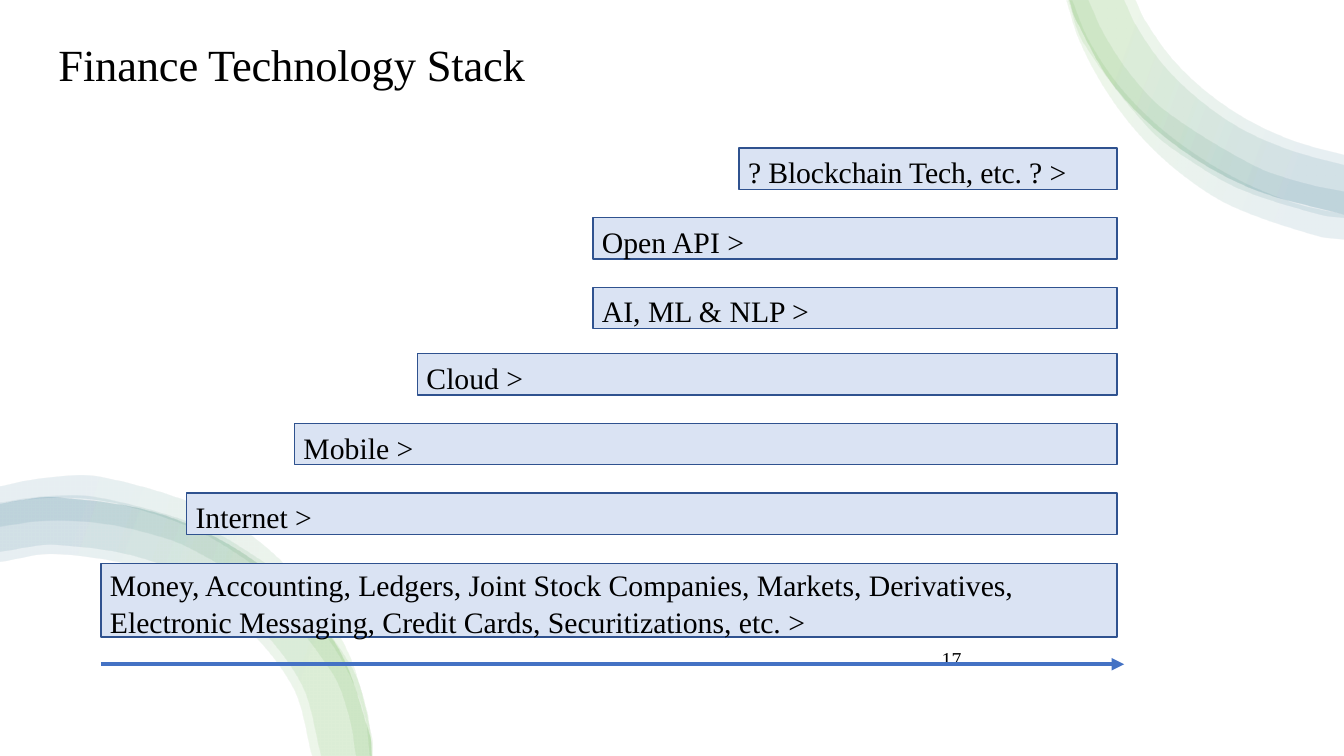
import math

import pptx
import pptx.util
import pptx.oxml
from pptx.dml.color import RGBColor
from pptx.enum.shapes import MSO_CONNECTOR, MSO_SHAPE
from pptx.enum.text import MSO_ANCHOR, PP_ALIGN
from pptx.oxml.ns import nsdecls, qn

WIDTH, HEIGHT = 13.33, 7.5
FONT = "Times New Roman"
BLACK = RGBColor(0x00, 0x00, 0x00)
GREEN = RGBColor(0x4E, 0xA7, 0x2E)
TEAL = RGBColor(0x15, 0x60, 0x82)
BAR_FILL = RGBColor(0xDA, 0xE3, 0xF3)
BAR_LINE = RGBColor(0x2F, 0x52, 0x8F)
ARROW = RGBColor(0x44, 0x72, 0xC4)

TITLE = "Finance Technology Stack"
PAGE = "17"
LAYERS = [
    ("? Blockchain Tech, etc. ? >", 7.33, 1.47, -11),
    ("Open API >", 5.88, 2.16, 0),
    ("AI, ML & NLP >", 5.88, 2.85, 0),
    ("Cloud >", 4.14, 3.51, 0),
    ("Mobile >", 2.92, 4.2, 0),
    ("Internet >", 1.85, 4.89, 0),
    ("Money, Accounting, Ledgers, Joint Stock Companies, Markets, Derivatives, "
     "Electronic Messaging, Credit Cards, Securitizations, etc. >", 1, 5.59, -3),
]
BAR_RIGHT, BAR_HEIGHT, BASE_HEIGHT = 11.08, 0.41, 0.73
ARROW_Y, ARROW_END = 6.59, 11.15

GRADIENT = [(16, GREEN), (85, TEAL)]
OPACITY = 10
TOP_ANGLE, BOTTOM_ANGLE = 20, 200
TOP_EDGE = [(10.61, 0), (10.67, 0.19), (11.07, 0.88), (11.67, 1.45),
            (12.41, 1.87), (13.33, 2.13)]
BOTTOM_EDGE = [(0, 5), (0.56, 4.94), (1.64, 5.12), (2.59, 5.62),
               (3.31, 6.37), (3.66, 7.29), (3.68, 7.5)]
BANDS = [
    (TOP_ANGLE,
     [(10.58, 0.01), (10.71, 0.41), (10.97, 0.9), (11.31, 1.35), (11.73, 1.74),
      (12.22, 2.05), (13.05, 2.34), (13.33, 2.38)],
     [(10.64, 0.01), (10.79, 0.38), (11.08, 0.83), (11.45, 1.22), (11.88, 1.55),
      (12.35, 1.82), (12.85, 2.02), (13.33, 2.13)]),
    (TOP_ANGLE, TOP_EDGE,
     [(11.26, 0), (11.36, 0.21), (11.62, 0.58), (11.96, 0.91), (12.37, 1.19),
      (12.83, 1.4), (13.33, 1.54)]),
    (TOP_ANGLE,
     [(10.6, 0.01), (10.75, 0.43), (11.4, 1.28), (11.83, 1.61), (12.31, 1.88),
      (13.1, 2.13), (13.33, 2.16)],
     [(10.8, 0.01), (10.95, 0.34), (11.22, 0.75), (11.57, 1.11), (12.43, 1.64),
      (12.91, 1.81), (13.33, 1.9)]),
    (TOP_ANGLE, TOP_EDGE,
     [(11.15, 0), (11.27, 0.26), (11.54, 0.65), (11.89, 0.99), (12.31, 1.28),
      (12.79, 1.49), (13.33, 1.64)]),
    (BOTTOM_ANGLE, BOTTOM_EDGE,
     [(0, 5.58), (0.56, 5.5), (1.49, 5.67), (2.32, 6.13), (2.89, 6.8),
      (3.09, 7.5)]),
    (BOTTOM_ANGLE, BOTTOM_EDGE,
     [(0, 5.48), (0.56, 5.41), (1.53, 5.58), (2.38, 6.06), (2.97, 6.76),
      (3.18, 7.5)]),
    (BOTTOM_ANGLE,
     [(0, 4.99), (0.44, 4.93), (0.97, 4.94), (1.98, 5.22), (2.44, 5.47),
      (2.85, 5.78), (3.46, 6.59), (3.63, 7.06), (3.68, 7.5)],
     [(0, 5.23), (0.45, 5.17), (0.94, 5.19), (1.41, 5.28), (1.87, 5.44),
      (2.68, 5.95), (3.28, 6.67), (3.45, 7.1), (3.52, 7.5)]),
    (BOTTOM_ANGLE,
     [(0, 4.83), (0.43, 4.75), (1, 4.74), (2.07, 5.06), (2.53, 5.35),
      (2.93, 5.72), (3.26, 6.14), (3.5, 6.61), (3.69, 7.36), (3.69, 7.5)],
     [(0, 5), (0.45, 4.95), (0.97, 4.97), (1.47, 5.09), (1.95, 5.27),
      (2.39, 5.53), (2.8, 5.84), (3.15, 6.21), (3.43, 6.64), (3.61, 7.11),
      (3.66, 7.5)]),
]


def inch(value):
    return pptx.util.Inches(value)


def step_along(point, start, end, length):
    scale = length / math.dist(start, end)
    return tuple(p + (e - s) * scale for p, s, e in zip(point, start, end))


def curve_points(points):
    padded = [points[0], *points, points[-1]]
    curve = []
    for a, b, c, d in zip(padded, padded[1:], padded[2:], padded[3:]):
        third = math.dist(b, c) / 3
        curve += [step_along(b, a, c, third), step_along(c, d, b, third), c]
    return curve


def add_band(s, angle, outer, inner):
    back = inner[::-1]
    outline = [outer[0], *curve_points(outer), back[0], *curve_points(back)]
    points = [(inch(x), inch(y)) for x, y in outline]
    builder = s.shapes.build_freeform(*points[0], scale=1.0)
    builder.add_line_segments(points[1:], close=True)
    sp = builder.convert_to_shape()
    sp.shadow.inherit = False
    sp.line.fill.background()
    sp.fill.background()
    props = sp.element.spPr
    lines = list(props.iter(qn("a:lnTo")))
    join = 3 * (len(outer) - 1)
    for edge in (lines[:join], lines[join + 1:]):
        for i in range(0, len(edge) // 3 * 3, 3):
            cubic = pptx.oxml.parse_xml(f'<a:cubicBezTo {nsdecls("a")}/>')
            edge[i].addprevious(cubic)
            for line in edge[i:i + 3]:
                cubic.append(line[0])
                line.getparent().remove(line)
    stops = "".join(
        f'<a:gs pos="{pos * 1000}"><a:srgbClr val="{color}">'
        f'<a:alpha val="{OPACITY * 1000}"/></a:srgbClr></a:gs>'
        for pos, color in GRADIENT)
    grad = pptx.oxml.parse_xml(
        f'<a:gradFill {nsdecls("a")} rotWithShape="1"><a:gsLst>{stops}</a:gsLst>'
        f'<a:lin ang="{angle * 60000}" scaled="0"/></a:gradFill>')
    props.replace(props.find(qn("a:noFill")), grad)


def set_text(sp, text, size, left, top, tracking=0):
    tf = sp.text_frame
    tf.text = text
    tf.word_wrap = True
    tf.vertical_anchor = MSO_ANCHOR.TOP
    tf.margin_left, tf.margin_top = inch(left), inch(top)
    tf.margin_right = tf.margin_bottom = 0
    p = tf.paragraphs[0]
    p.alignment = PP_ALIGN.LEFT
    r = p.runs[0]
    r.font.name, r.font.size = FONT, pptx.util.Pt(size)
    r.font.color.rgb = BLACK
    if tracking:
        r.font._element.set("spc", str(tracking))


def add_label(s, text, box, *style):
    set_text(s.shapes.add_textbox(*map(inch, box)), text, *style)


def add_bar(s, text, left, top, tracking, height, inset):
    sp = s.shapes.add_shape(MSO_SHAPE.RECTANGLE, inch(left), inch(top),
                            inch(BAR_RIGHT - left), inch(height))
    sp.shadow.inherit = False
    sp.fill.solid()
    sp.fill.fore_color.rgb = BAR_FILL
    sp.line.color.rgb = BAR_LINE
    sp.line.width = pptx.util.Pt(1)
    set_text(sp, text, 21.2, 0.09, inset, tracking)
    if height == BASE_HEIGHT:
        sp.text_frame.paragraphs[0].line_spacing = 1.02


def add_arrow(s, left, right, y):
    line = s.shapes.add_connector(MSO_CONNECTOR.STRAIGHT, inch(left), inch(y),
                                  inch(right), inch(y))
    line.line.color.rgb = ARROW
    line.line.width = pptx.util.Pt(3)
    line.line._get_or_add_ln().append(pptx.oxml.parse_xml(
        f'<a:tailEnd {nsdecls("a")} type="triangle" w="med" len="med"/>'))
    line.element.spPr.append(pptx.oxml.parse_xml(f'<a:effectLst {nsdecls("a")}/>'))


def main():
    prs = pptx.Presentation()
    prs.slide_width, prs.slide_height = inch(WIDTH), inch(HEIGHT)
    s = prs.slides.add_slide(prs.slide_layouts[6])
    for band in BANDS:
        add_band(s, *band)
    add_label(s, TITLE, (0.56, 0.36, 6.21, 0.55), 31.8, 0.02, 0.01, -15)
    add_label(s, PAGE, (9.25, 6.42, 2.71, 0.24), 14.1, 0.09, 0)
    for layer in LAYERS:
        base = layer is LAYERS[-1]
        height, inset = (BASE_HEIGHT, 0.03) if base else (BAR_HEIGHT, 0.06)
        add_bar(s, *layer, height, inset)
    add_arrow(s, LAYERS[-1][1], ARROW_END, ARROW_Y)
    prs.save("out.pptx")


if __name__ == "__main__":
    main()
